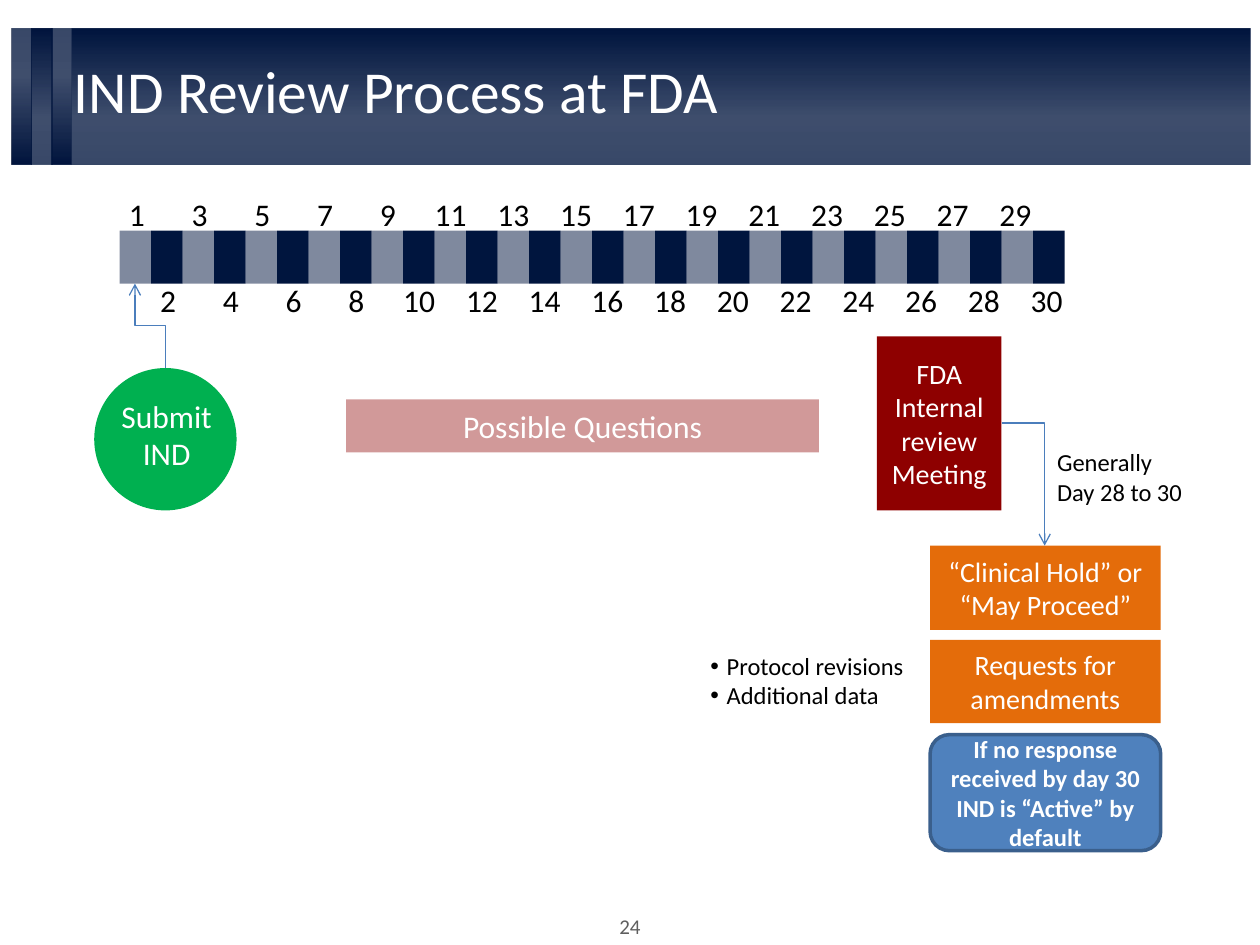
"""Build the IND review timeline slide."""
from dataclasses import dataclass

from pptx import Presentation, oxml, util as u
from pptx.dml.color import RGBColor
from pptx.enum import shapes, text
from pptx.oxml import ns

TITLE = "IND Review Process at FDA"
PAGE = "24"
DAYS = range(1, 31)
SUBMIT = "Submit\nIND"
TIMING = "Generally Day 28 to 30"
REQUESTS = ["Protocol revisions", "Additional data"]


@dataclass(frozen=True)
class Theme:
    font: str = "Calibri"
    navy: str = "00153E"
    green: str = "00B050"
    red: str = "8E0000"
    orange: str = "E46C0A"
    blue: str = "4F81BD"
    blue_edge: str = "3A5F8C"
    arrow: str = "4B7EBC"
    grey: str = "5F5F5F"
    black: str = "000000"
    white: str = "FFFFFF"
    title: int = 34
    large: int = 18
    medium: int = 16
    small: int = 14
    page: int = 12


T = Theme()
KIND = shapes.MSO_SHAPE
ALIGN = text.PP_ALIGN
ANCHOR = text.MSO_ANCHOR

STRIPES = [(0.64, 0.41, 90), (1.45, 23.75, 90), (0.23, 0.41, 270), (1.04, 0.41, 270)]
QUESTIONS = ("Possible Questions", (6.98, 8.05, 9.53, 1.07), T.red, 40, T.large)
MEETING = ("FDA Internal review Meeting", (17.68, 6.78, 2.51, 3.51), T.red, 100, T.medium)
OUTCOMES = [
    ("“Clinical Hold” or\n“May Proceed”", (18.75, 11, 4.65, 1.7), T.orange, 100, T.medium),
    ("Requests for amendments", (18.75, 12.9, 4.65, 1.68), T.orange, 100, T.medium),
]
DEFAULT = "If no response received by day 30 IND is “Active” by default"

prs = Presentation()
prs.slide_width, prs.slide_height = u.Cm(25.4), u.Cm(19.05)
s = prs.slides.add_slide(prs.slide_layouts[6])


def cm(values):
    return [u.Cm(v) for v in values]


def write(sp, lines, size, color, align=ALIGN.CENTER, anchor=ANCHOR.MIDDLE, wrap=True):
    tf = sp.text_frame
    tf.word_wrap, tf.vertical_anchor = wrap, anchor
    for i, line in enumerate(lines):
        p = tf.add_paragraph() if i else tf.paragraphs[0]
        p.text, p.alignment = line, align
        p.font.name, p.font.size = T.font, u.Pt(size)
        p.font.color.rgb = RGBColor.from_string(color)
    return tf


def label(lines, box, size, color=T.black, align=ALIGN.CENTER, anchor=ANCHOR.TOP, wrap=False):
    return write(s.shapes.add_textbox(*cm(box)), lines, size, color, align, anchor, wrap)


def shape(box, fill=None, alpha=100, kind=KIND.RECTANGLE):
    sp = s.shapes.add_shape(kind, *cm(box))
    sp.shadow.inherit = False
    sp.line.fill.background()
    if fill:
        sp.fill.solid()
        sp.fill.fore_color.rgb = RGBColor.from_string(fill)
        if alpha < 100:
            clr = sp.element.spPr.find(".//" + ns.qn("a:srgbClr"))
            oxml.xmlchemy.OxmlElement  # noqa: B018
            clr.append(oxml.parse_xml(f'<a:alpha {ns.nsdecls("a")} val="{alpha * 1000}"/>'))
    return sp


def stripe(left, width, angle):
    stops = "".join(
        f'<a:gs pos="{pos * 1000}"><a:srgbClr val="{T.navy}">'
        f'<a:alpha val="{alpha * 1000}"/></a:srgbClr></a:gs>'
        for pos, alpha in [(0, 100), (65, 75), (100, 78)])
    sp = shape((left, 0.58, width, 2.74))
    sp.element.spPr.insert(2, oxml.parse_xml(
        f'<a:gradFill {ns.nsdecls("a")} rotWithShape="1"><a:gsLst>{stops}</a:gsLst>'
        f'<a:lin ang="{angle * 60000}" scaled="0"/></a:gradFill>'))


def box(words, place, fill, alpha, size, kind=KIND.RECTANGLE):
    sp = shape(place, fill, alpha, kind)
    write(sp, [words], size, T.white)
    return sp


def arrow(begin, end):
    cn = s.shapes.add_connector(shapes.MSO_CONNECTOR.ELBOW, *cm(begin + end))
    cn.line.color.rgb = RGBColor.from_string(T.arrow)
    cn.line.width = u.Pt(0.75)
    pr = cn.element.spPr
    pr.get_or_add_ln().append(oxml.parse_xml(f'<a:tailEnd {ns.nsdecls("a")} type="arrow"/>'))
    pr.append(oxml.parse_xml(f'<a:effectLst {ns.nsdecls("a")}/>'))
    return pr


def rising_arrow(begin, end):
    (x1, y1), (x2, y2) = begin, end
    cx, cy, run, rise = (x1 + x2) / 2, (y1 + y2) / 2, (y1 - y2) / 2, (x1 - x2) / 2
    pr = arrow((cx - run, cy + rise), (cx + run, cy - rise))
    pr.xfrm.set("rot", str(270 * 60000))


def corner_arrow(begin, end):
    pr = arrow(begin, end)
    pr.find(ns.qn("a:prstGeom")).set("prst", "bentConnector2")


def timeline(left=2.41, top=4.65, width=19.05, height=1.07):
    cell = width / len(DAYS)
    for i, day in enumerate(DAYS):
        shape((left + i * cell, top, cell, height), T.navy, 50 if day % 2 else 100)
    for i, day in enumerate(DAYS):
        w = 0.84 if day < 10 else 1.17
        center = 2.76 + i * 18.34 / 29
        label([str(day)], (center - w / 2, 3.81 if day % 2 else 5.54, w, 1.02), T.large)


def bullets(lines, place):
    tf = label(lines, place, T.small, align=ALIGN.LEFT, wrap=True)
    for p in tf.paragraphs:
        pr = p._p.get_or_add_pPr()
        pr.set("marL", str(u.Cm(0.33)))
        pr.set("indent", str(-u.Cm(0.33)))
        pr.insert(0, oxml.parse_xml(f'<a:buChar {ns.nsdecls("a")} char="•"/>'))
        pr.insert(0, oxml.parse_xml(f'<a:buFont {ns.nsdecls("a")} typeface="Arial"/>'))


label([PAGE], (12.19, 18.29, 1.02, 0.76), T.page, T.grey, anchor=ANCHOR.BOTTOM)
for item in STRIPES:
    stripe(*item)
heading = label([TITLE], (1.24, 1.19, 22.86, 1.47), T.title, T.white, ALIGN.LEFT, ANCHOR.MIDDLE, True)
heading.paragraphs[0].line_spacing = 0.83
timeline()
shape((1.9, 7.42, 2.87, 2.87), T.green, kind=KIND.OVAL)
label([SUBMIT], (2.18, 7.87, 2.36, 1.8), T.large, T.white)
rising_arrow((3.33, 7.42), (2.72, 5.72))
for item in [QUESTIONS, MEETING, *OUTCOMES]:
    box(*item)
corner_arrow((20.19, 8.53), (21.06, 11))
label([TIMING], (21.06, 8.89, 3.18, 1.45), T.small, align=ALIGN.LEFT, wrap=True)
bullets(REQUESTS, (14.07, 13, 4.72, 1.45))
active = box(DEFAULT, (18.75, 14.81, 4.65, 2.34), T.blue, 100, T.small, KIND.ROUNDED_RECTANGLE)
active.line.color.rgb = RGBColor.from_string(T.blue_edge)
active.line.width = u.Pt(2)
active.text_frame.paragraphs[0].font.bold = True
prs.save("out.pptx")
